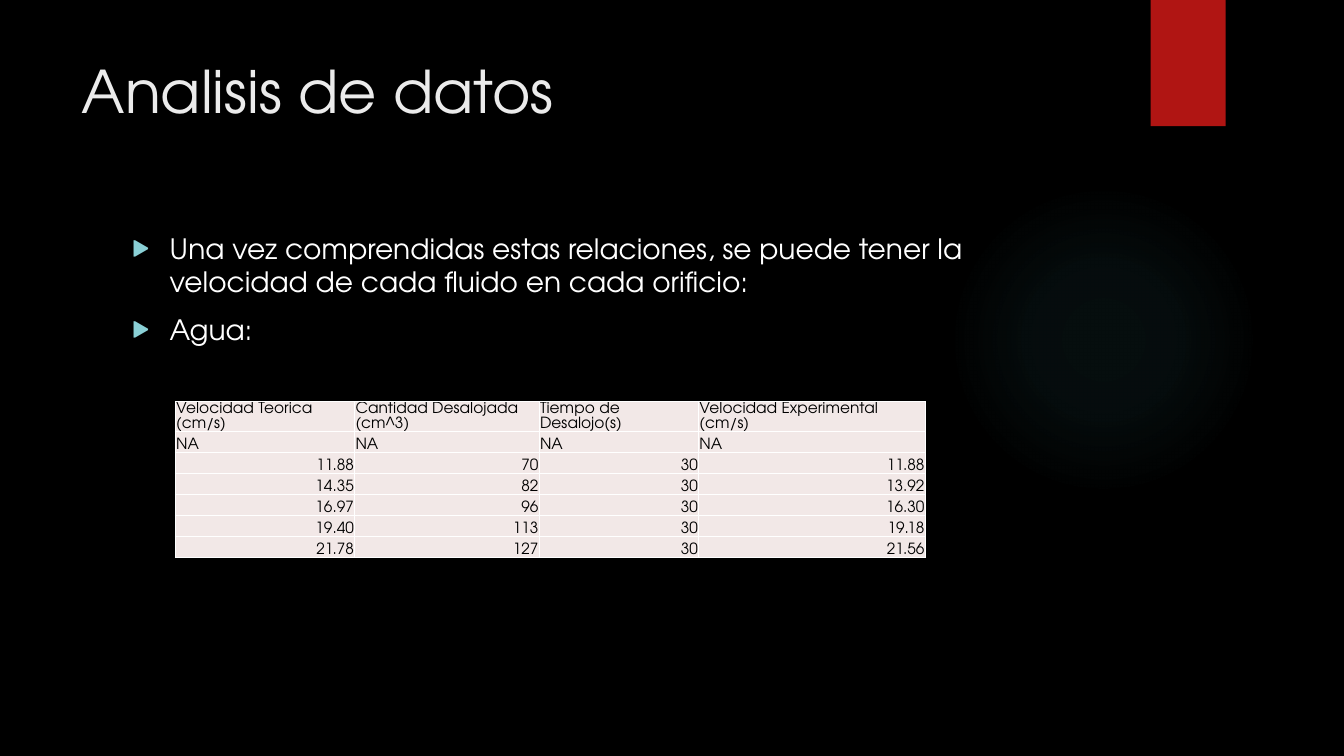
from lxml.etree import SubElement
from pptx import Presentation
from pptx.dml.color import RGBColor
from pptx.enum.shapes import MSO_SHAPE
from pptx.enum.text import MSO_ANCHOR, MSO_AUTO_SIZE, PP_ALIGN
from pptx.oxml import parse_xml
from pptx.oxml.ns import nsdecls, qn
from pptx.util import Cm, Pt

FONT = "TeX Gyre Adventor"
COLORS = {
    "background": "000000",
    "glow": "50B9C1",
    "ribbon": "B01513",
    "title": "EBEBEB",
    "body": "FFFFFF",
    "bullet": "8AD0D6",
    "cell": "F2E8E7",
    "cell_text": "000000",
    "border": "FFFFFF",
}


def write(para, text, size, color, align=PP_ALIGN.LEFT, before=0):
    para.alignment = align
    para.space_before = Pt(before)
    span = para.add_run()
    span.text = text
    span.font.name = FONT
    span.font.size = Pt(size)
    span.font.color.rgb = RGBColor.from_string(COLORS[color])


deck = Presentation()
deck.slide_width, deck.slide_height = Cm(33.87), Cm(19.05)
page = deck.slides.add_slide(deck.slide_layouts[1])
page.background.fill.solid()
page.background.fill.fore_color.rgb = RGBColor.from_string(COLORS["background"])

# Decorations, kept behind the placeholders
glow = page.shapes.add_shape(MSO_SHAPE.OVAL, Cm(23.9), Cm(4.65), Cm(7.82), Cm(7.82))
ribbon = page.shapes.add_shape(MSO_SHAPE.RECTANGLE, Cm(29), Cm(0), Cm(1.89), Cm(3.18))
for position, shape in enumerate((glow, ribbon), start=2):
    shape.shadow.inherit = False
    shape.line.fill.background()
    page.shapes.element.insert(position, shape.element)
ribbon.fill.solid()
ribbon.fill.fore_color.rgb = RGBColor.from_string(COLORS["ribbon"])

stops = "".join(
    f'<a:gs pos="{place * 1000}"><a:srgbClr val="{COLORS["glow"]}">'
    f'<a:alpha val="{alpha * 1000}"/></a:srgbClr></a:gs>'
    for place, alpha in ((0, 7), (36, 6), (69, 0), (100, 0))
)
gradient = parse_xml(
    f'<a:gradFill {nsdecls("a")} rotWithShape="1"><a:gsLst>{stops}</a:gsLst>'
    '<a:path path="circle"><a:fillToRect l="50000" t="50000" r="50000" b="50000"/>'
    "</a:path></a:gradFill>"
)
glow.element.spPr.find(qn("a:prstGeom")).addnext(gradient)

# Title and list
title, body = page.shapes.title, page.placeholders[1]
for box, left, top, width, height in (
    (title, 1.8, 1.25, 26.14, 3.89),
    (body, 3.07, 5.7, 24.84, 11.66),
):
    box.left, box.top, box.width, box.height = Cm(left), Cm(top), Cm(width), Cm(height)
    box.text_frame.word_wrap = True
    box.text_frame.auto_size = MSO_AUTO_SIZE.NONE
    box.text_frame.vertical_anchor = MSO_ANCHOR.TOP
write(title.text_frame.paragraphs[0], "Analisis de datos", 42, "title")

points = [
    "Una vez comprendidas estas relaciones, se puede tener la "
    "velocidad de cada fluido en cada orificio:",
    "Agua:",
]
for index, point in enumerate(points):
    para = body.text_frame.paragraphs[0] if index == 0 else body.text_frame.add_paragraph()
    write(para, point, 20, "body", before=10 if index else 0)
    properties = para._p.get_or_add_pPr()
    properties.set("marL", str(Cm(0.95)))
    properties.set("indent", str(-Cm(0.95)))
    bullet_color = SubElement(properties, qn("a:buClr"))
    SubElement(bullet_color, qn("a:srgbClr"), val=COLORS["bullet"])
    SubElement(properties, qn("a:buSzPct"), val="80000")
    SubElement(properties, qn("a:buFont"), typeface=FONT)
    SubElement(properties, qn("a:buChar"), char="▶")

# Water velocity table
rows = [
    ("Velocidad Teorica (cm/s)", "Cantidad Desalojada (cm^3)",
     "Tiempo de Desalojo(s)", "Velocidad Experimental (cm/s)"),
    ("NA", "NA", "NA", "NA"),
    ("11.88", "70", "30", "11.88"),
    ("14.35", "82", "30", "13.92"),
    ("16.97", "96", "30", "16.30"),
    ("19.40", "113", "30", "19.18"),
    ("21.78", "127", "30", "21.56"),
]
column_widths = [4.52, 4.65, 4.02, 5.71]
row_heights = [0.75] + [0.53] * (len(rows) - 1)
table = page.shapes.add_table(
    len(rows), len(column_widths), Cm(4.42), Cm(10.12),
    Cm(sum(column_widths)), Cm(sum(row_heights)),
).table
table.first_row = table.horz_banding = False
for column, width in zip(table.columns, column_widths):
    column.width = Cm(width)
for row, height, values in zip(table.rows, row_heights, rows):
    row.height = Cm(height)
    for cell, value in zip(row.cells, values):
        cell.margin_left = cell.margin_right = cell.margin_top = Cm(0.02)
        cell.margin_bottom = 0
        cell.vertical_anchor = MSO_ANCHOR.BOTTOM
        for side in ("lnL", "lnR", "lnT", "lnB"):
            border = SubElement(cell._tc.get_or_add_tcPr(), qn(f"a:{side}"), w=str(Pt(1)))
            border_fill = SubElement(border, qn("a:solidFill"))
            SubElement(border_fill, qn("a:srgbClr"), val=COLORS["border"])
        cell.fill.solid()
        cell.fill.fore_color.rgb = RGBColor.from_string(COLORS["cell"])
        align = PP_ALIGN.RIGHT if value[0].isdigit() else PP_ALIGN.LEFT
        write(cell.text_frame.paragraphs[0], value, 11, "cell_text", align)

deck.save("out.pptx")
